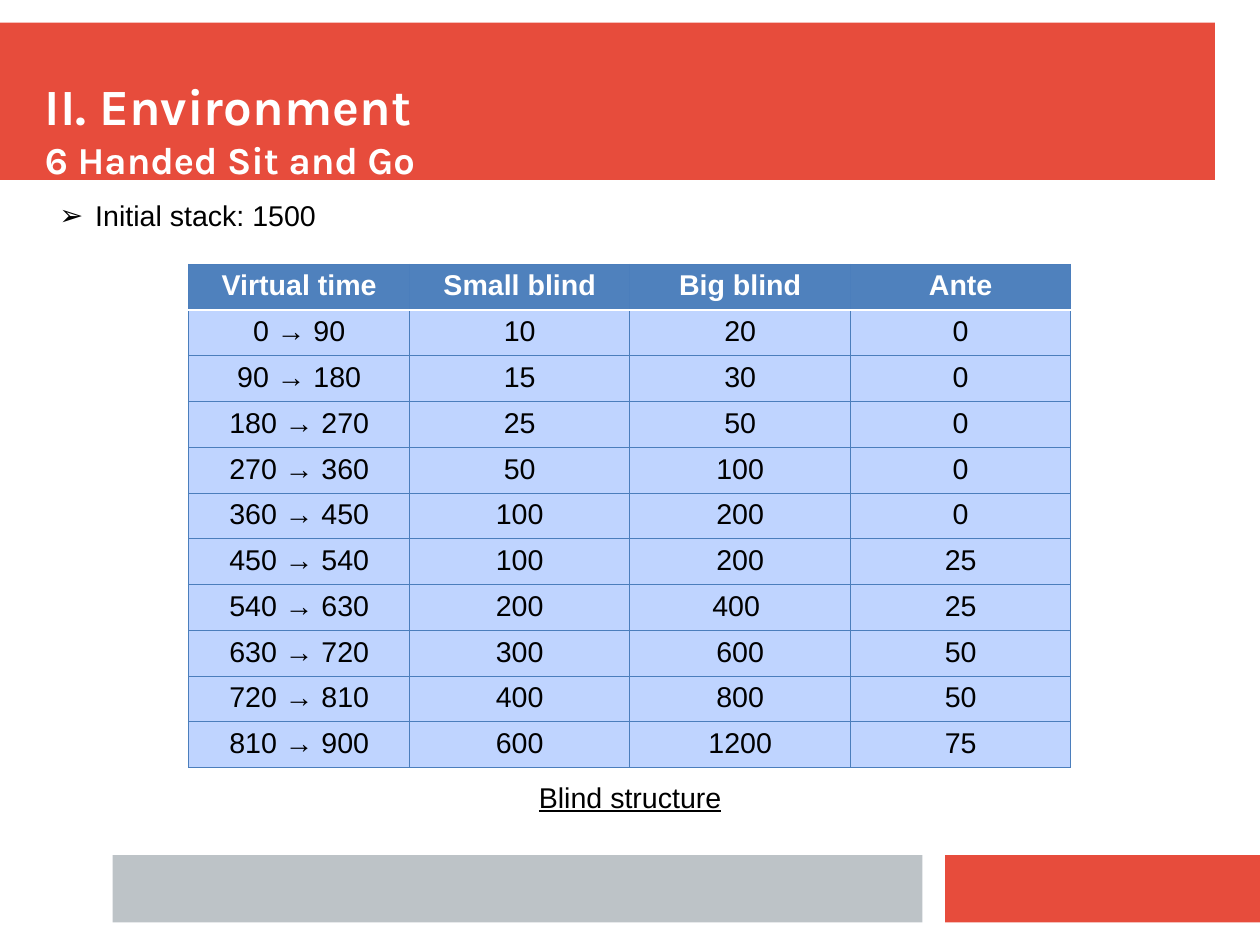
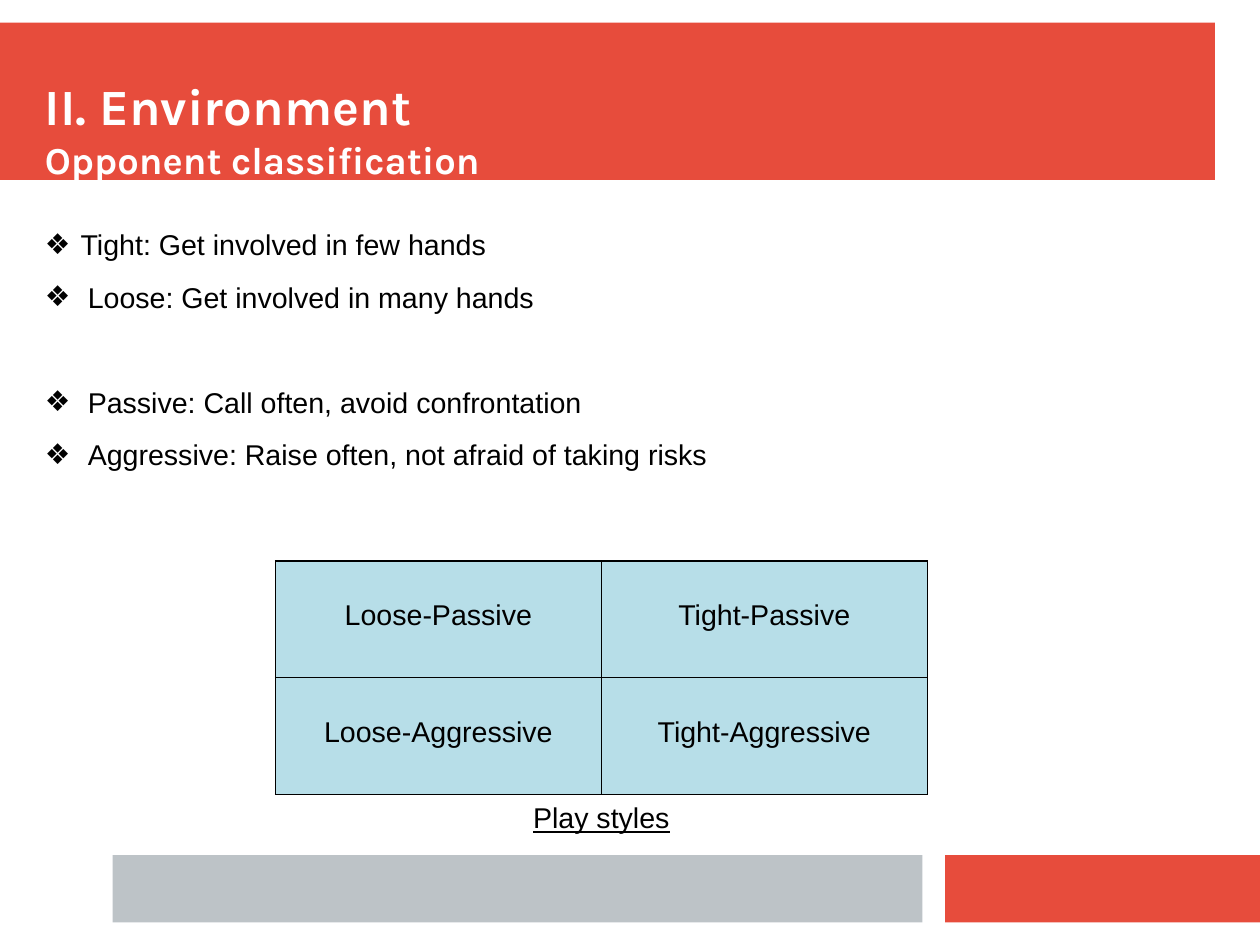
"""Build two slides on a poker environment: blind structure and opponent classification."""
from dataclasses import dataclass

from lxml.etree import SubElement
from pptx import Presentation
from pptx.dml.color import RGBColor
from pptx.enum.shapes import MSO_SHAPE
from pptx.enum.text import MSO_ANCHOR, PP_ALIGN
from pptx.oxml.ns import qn
from pptx.util import Pt


@dataclass(frozen=True)
class Theme:
    red: str = "E74C3C"
    grey: str = "BDC3C7"
    white: str = "FFFFFF"
    black: str = "000000"
    header: str = "4F81BD"
    rule: str = "4B7EBC"
    blinds: str = "BFD4FF"
    styles: str = "B7DEE8"
    title_font: str = "Karla"
    body_font: str = "Arial"
    title_size: float = 32
    subtitle_size: float = 24
    body_size: float = 18
    paragraph_gap: float = 11.4


THEME = Theme()
SLIDE_SIZE = (793.7, 595.3)
BANDS = [
    ((0, 14.2, 765.3, 99.2), THEME.red),
    ((595.3, 538.6, 198.4, 42.5), THEME.red),
    ((70.9, 538.6, 510.2, 42.5), THEME.grey),
]
TITLE_BOX = (28.3, 18, 737, 96.4)
SECTION = "II. Environment"

STACK = [("Initial stack: 1500", 22.5, 0)]
BLIND_HEADER = ("Virtual time", "Small blind", "Big blind", "Ante")
LEVEL_LENGTH = 90
BLIND_LEVELS = [
    ("10", "20", "0"),
    ("15", "30", "0"),
    ("25", "50", "0"),
    ("50", "100", "0"),
    ("100", "200", "0"),
    ("100", "200", "25"),
    ("200", "400 ", "25"),
    ("300", "600", "50"),
    ("400", "800", "50"),
    ("600", "1200", "75"),
]

TRAITS = [
    ("Tight: Get involved in few hands", 22.5, THEME.paragraph_gap),
    ("Loose: Get involved in many hands", 27, 44.5),
    ("Passive: Call often, avoid confrontation", 27, THEME.paragraph_gap),
    ("Aggressive: Raise often, not afraid of taking risks", 27, THEME.paragraph_gap),
]
PLAY_STYLES = [
    ("Loose-Passive", "Tight-Passive"),
    ("Loose-Aggressive", "Tight-Aggressive"),
]


def style(paragraph, size=THEME.body_size, font=THEME.body_font,
          color=THEME.black, bold=False, underline=False):
    for run in paragraph.runs:
        run.font.size = Pt(size)
        run.font.name = font
        run.font.color.rgb = RGBColor.from_string(color)
        run.font.bold = bold
        run.font.underline = underline


def add_text(slide, box, lines, inset=True):
    frame = slide.shapes.add_textbox(*map(Pt, box)).text_frame
    frame.word_wrap = True
    if not inset:
        frame.margin_left = frame.margin_right = 0
        frame.margin_top = frame.margin_bottom = 0
    frame.text = "\n".join(lines)
    return frame


def add_base(deck, subtitle):
    slide = deck.slides.add_slide(deck.slide_layouts[6])
    for box, color in BANDS:
        band = slide.shapes.add_shape(MSO_SHAPE.RECTANGLE, *map(Pt, box))
        band.shadow.inherit = False
        band.fill.solid()
        band.fill.fore_color.rgb = RGBColor.from_string(color)
        band.line.fill.background()
    title = add_text(slide, TITLE_BOX, [SECTION, subtitle], inset=False)
    title.vertical_anchor = MSO_ANCHOR.BOTTOM
    for paragraph, size in zip(title.paragraphs, (THEME.title_size, THEME.subtitle_size)):
        style(paragraph, size, THEME.title_font, THEME.white, bold=True)
    return slide


def add_bullets(slide, box, items, mark, inset=True):
    frame = add_text(slide, box, [text for text, _, _ in items], inset)
    for paragraph, (_, indent, gap) in zip(frame.paragraphs, items):
        style(paragraph)
        paragraph.space_after = Pt(gap)
        properties = paragraph._p.get_or_add_pPr()
        properties.set("marL", str(Pt(indent)))
        properties.set("indent", str(-Pt(indent)))
        SubElement(properties, qn("a:buFont"), typeface=THEME.body_font)
        SubElement(properties, qn("a:buChar"), char=mark)


def add_caption(slide, box, text):
    caption = add_text(slide, box, [text]).paragraphs[0]
    caption.alignment = PP_ALIGN.CENTER
    style(caption, underline=True)


def set_borders(cell, borders):
    properties = cell._tc.get_or_add_tcPr()
    for side in "LRTB":
        color, width = borders[side]
        line = SubElement(properties, qn(f"a:ln{side}"), w=str(Pt(width)))
        fill = SubElement(line, qn("a:solidFill"))
        SubElement(fill, qn("a:srgbClr"), val=color)


def add_grid(slide, origin, column_width, row_heights, rows, fill, border,
             has_header=False, margin_top=3.6):
    columns = len(rows[0])
    size = (column_width * columns, sum(row_heights))
    table = slide.shapes.add_table(len(rows), columns, *map(Pt, origin + size)).table
    table.first_row = has_header
    table.horz_banding = False
    for column in table.columns:
        column.width = Pt(column_width)
    for r, (values, height) in enumerate(zip(rows, row_heights)):
        table.rows[r].height = Pt(height)
        is_header = has_header and r == 0
        borders = dict.fromkeys("LRTB", border)
        if has_header and r < 2:
            borders["B" if is_header else "T"] = (THEME.white, 2)
        for c, value in enumerate(values):
            cell = table.cell(r, c)
            cell.margin_top = Pt(margin_top)
            set_borders(cell, borders)
            cell.fill.solid()
            cell.fill.fore_color.rgb = RGBColor.from_string(THEME.header if is_header else fill)
            cell.text_frame.text = value
            paragraph = cell.text_frame.paragraphs[0]
            paragraph.alignment = PP_ALIGN.CENTER
            style(paragraph, color=THEME.white if is_header else THEME.black, bold=is_header)


def build_blinds(deck):
    slide = add_base(deck, "6 Handed Sit and Go")
    add_caption(slide, (203, 487.5, 388, 39), "Blind structure")
    levels = [
        (f"{i * LEVEL_LENGTH} → {(i + 1) * LEVEL_LENGTH}", *blinds)
        for i, blinds in enumerate(BLIND_LEVELS)
    ]
    add_grid(slide, (119, 166.5), 138.9, [28] + [28.8] * len(levels),
             [BLIND_HEADER] + levels, THEME.blinds, (THEME.rule, 0.75), has_header=True)
    add_bullets(slide, (30.4, 121.2, 466, 29), STACK, "➢")


def build_opponents(deck):
    slide = add_base(deck, "Opponent classification")
    add_bullets(slide, (28.3, 143.3, 701, 191), TRAITS, "❖", inset=False)
    add_grid(slide, (173.5, 353.5), 205.3, [73.5] * len(PLAY_STYLES),
             PLAY_STYLES, THEME.styles, (THEME.black, 1), margin_top=24.3)
    add_caption(slide, (240.3, 500.5, 277, 29), "Play styles")


def main():
    deck = Presentation()
    deck.slide_width, deck.slide_height = map(Pt, SLIDE_SIZE)
    build_blinds(deck)
    build_opponents(deck)
    deck.save("out.pptx")


if __name__ == "__main__":
    main()
